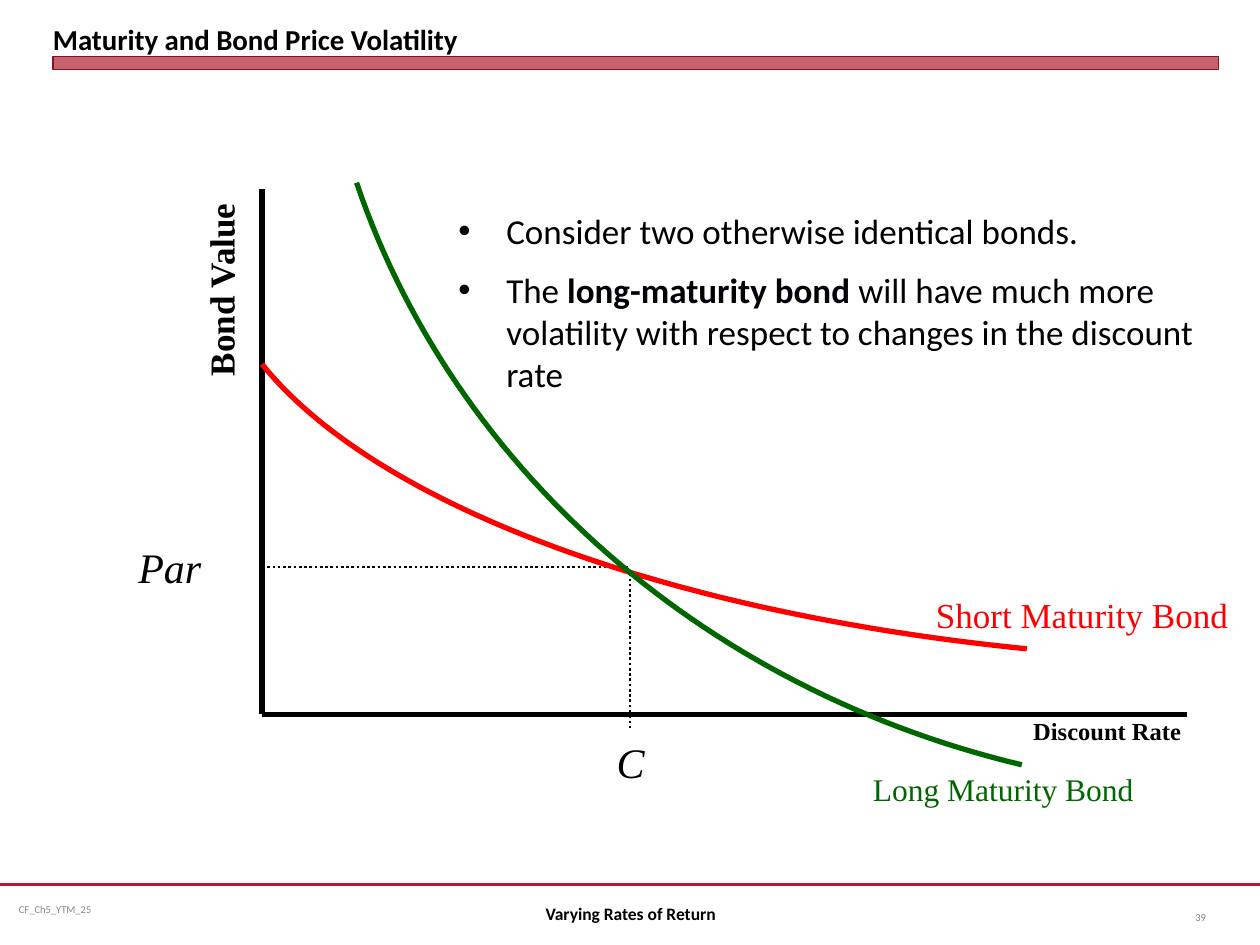
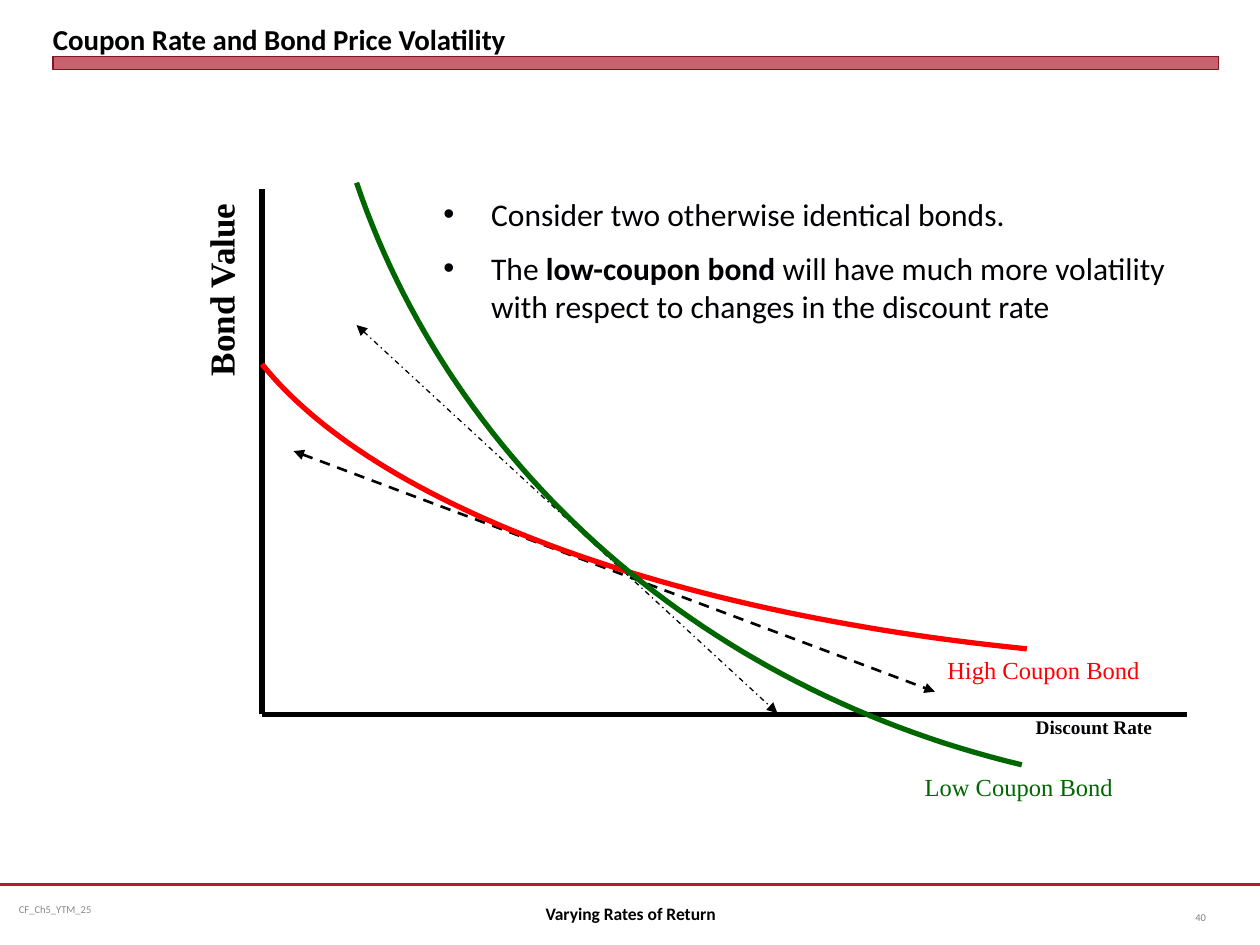
from pptx import Presentation
from pptx.dml.color import RGBColor
from pptx.enum.dml import MSO_LINE
from pptx.enum.shapes import MSO_CONNECTOR, MSO_SHAPE
from pptx.enum.text import MSO_ANCHOR, MSO_AUTO_SIZE, PP_ALIGN
from pptx.oxml.ns import qn
from pptx.util import Inches, Pt
from lxml.etree import SubElement

COLORS = {
    "black": "000000", "ink": "010004", "red": "FF0000", "green": "006600",
    "band": "B01C2E", "band_edge": "821522", "code": "898989", "number": "808080",
}
SANS, SERIF = "Calibri", "Times New Roman"

COURSE_CODE = "CF_Ch5_YTM_25"
FOOTER = "Varying Rates of Return"
ORIGIN, AXIS_TOP, AXIS_RIGHT = (2.08, 5.67), 1.5, 9.42
# Bezier control points, in inches
FLAT_CURVE = [(2.08, 2.89), (2.97, 4), (5.26, 4.86), (8.15, 5.15)]
STEEP_CURVE = [(2.83, 1.45), (3.6, 3.72), (5.59, 5.47), (8.11, 6.07)]


def bullets(bond):
    return [
        ["Consider two otherwise identical bonds."],
        ["The ", (bond + " ",), "will have much more volatility "
         "with respect to changes in the discount rate"],
    ]


# A label is text, box and format; a guide is start, end and format.
SLIDES = [
    {
        "title": "Maturity and Bond Price Volatility",
        "number": 39,
        "bullets": (bullets("long-maturity bond"), (3.54, 1.61, 6.33, 1.62), 20),
        "rate_label": ((8.2, 5.68, 1.18, 0.24), 14),
        "labels": [
            ("C", (4.67, 5.8, 0.67, 0.5),
             {"size": 24, "italic": True, "align": PP_ALIGN.CENTER}),
            ("Par", (1, 4.25, 1, 0.5), {"size": 24, "italic": True}),
            ("Short Maturity Bond", (7.33, 4.66, 2.83, 0.43),
             {"size": 20, "color": "red"}),
            ("Long Maturity Bond", (6.83, 6.06, 2.73, 0.4),
             {"size": 18, "color": "green"}),
        ],
        "guides": [
            ((5, 4.55), (5, 5.8), {"width": 1.5, "dash": MSO_LINE.ROUND_DOT}),
            ((2.08, 4.5), (5, 4.5), {"width": 1.5, "dash": MSO_LINE.ROUND_DOT}),
        ],
    },
    {
        "title": "Coupon Rate and Bond Price Volatility",
        "number": 40,
        "bullets": (bullets("low-coupon bond"), (3.42, 1.5, 6.33, 1.16), 18),
        "rate_label": ((8.22, 5.68, 0.93, 0.19), 11),
        "labels": [
            ("High Coupon Bond", (7.42, 5.15, 2.83, 0.34),
             {"size": 14, "color": "red"}),
            ("Low Coupon Bond", (7.24, 6.08, 2.46, 0.34),
             {"size": 14, "color": "green"}),
        ],
        "guides": [
            ((2.83, 2.58), (6.17, 5.66),
             {"width": 0.75, "dash": MSO_LINE.DASH_DOT, "arrows": True}),
            ((2.33, 3.58), (7.42, 5.49),
             {"width": 1.5, "dash": MSO_LINE.DASH, "arrows": True}),
        ],
    },
]


def rgb(name):
    return RGBColor.from_string(COLORS[name])


def place(shape, box):
    shape.left, shape.top, shape.width, shape.height = map(Inches, box)


def write(frame, paragraphs, *, size, font=SERIF, color="black", bold=False,
          italic=False, align=PP_ALIGN.LEFT, anchor=MSO_ANCHOR.TOP,
          margins=(0.1, 0.05), wrap=True, bullet=None):
    """Fill a frame; each paragraph is a list of runs, a one-item tuple being bold."""
    if isinstance(paragraphs, str):
        paragraphs = [[paragraphs]]
    frame.word_wrap = wrap
    frame.auto_size = MSO_AUTO_SIZE.NONE
    frame.vertical_anchor = anchor
    frame.margin_left = frame.margin_right = Inches(margins[0])
    frame.margin_top = frame.margin_bottom = Inches(margins[1])
    for index, runs in enumerate(paragraphs):
        paragraph = frame.add_paragraph() if index else frame.paragraphs[0]
        paragraph.alignment = align
        paragraph.space_before = Pt(size / 2 if index else 0)
        if bullet:
            properties = paragraph._p.get_or_add_pPr()
            properties.set("marL", str(Inches(0.38)))
            properties.set("indent", str(Inches(-0.38)))
            SubElement(properties, qn("a:buFont")).set("typeface", "Arial")
            SubElement(properties, qn("a:buChar")).set("char", bullet)
        for part in runs:
            strong = isinstance(part, tuple)
            run = paragraph.add_run()
            run.text = part[0] if strong else part
            run.font.name, run.font.size = font, Pt(size)
            run.font.bold, run.font.italic = bold or strong, italic
            run.font.color.rgb = rgb(color)


def add_text(slide, text, box, rotation=0, **text_format):
    shape = slide.shapes.add_textbox(*map(Inches, box))
    shape.rotation = rotation
    write(shape.text_frame, text, **text_format)


def add_line(slide, start, end, width, color="black", dash=None, arrows=False):
    connector = slide.shapes.add_connector(
        MSO_CONNECTOR.STRAIGHT, *map(Inches, (*start, *end)))
    connector.line.width = Pt(width)
    connector.line.color.rgb = rgb(color)
    if dash:
        connector.line.dash_style = dash
    if arrows:
        for tag in ("a:headEnd", "a:tailEnd"):
            SubElement(connector.line._get_or_add_ln(), qn(tag)).set("type", "triangle")
    SubElement(connector._element.spPr, qn("a:effectLst"))


def bezier_point(controls, t):
    weights = ((1 - t) ** 3, 3 * t * (1 - t) ** 2, 3 * t ** 2 * (1 - t), t ** 3)
    return tuple(Inches(sum(w * v for w, v in zip(weights, axis)))
                 for axis in zip(*controls))


def add_curve(slide, controls, color, steps=60):
    points = [bezier_point(controls, step / steps) for step in range(steps + 1)]
    builder = slide.shapes.build_freeform(*points[0])
    builder.add_line_segments(points[1:], close=False)
    curve = builder.convert_to_shape()
    curve.fill.background()
    curve.line.color.rgb = rgb(color)
    curve.line.width = Pt(3)
    curve.shadow.inherit = False


def add_frame(slide, title, number):
    """Add the title, band and footer that every slide carries."""
    add_line(slide, (0, 7.02), (10, 7.02), 1.25, "band")
    add_text(slide, COURSE_CODE, (0.08, 7.02, 2.58, 0.4), size=6, font=SANS,
             color="code", anchor=MSO_ANCHOR.MIDDLE, margins=(0.07, 0.04))
    band = slide.shapes.add_shape(
        MSO_SHAPE.RECTANGLE, *map(Inches, (0.42, 0.45, 9.25, 0.1)))
    band.shadow.inherit = False
    band.fill.solid()
    band.fill.fore_color.rgb = rgb("band")
    tint = band._element.spPr.find(qn("a:solidFill"))[0]
    SubElement(tint, qn("a:alpha")).set("val", "69000")
    band.line.color.rgb = rgb("band_edge")
    band.line.width = Pt(0)
    place(slide.shapes.title, (0.42, 0.05, 9.25, 0.4))
    write(slide.shapes.title.text_frame, title, size=16.5, font=SANS, bold=True,
          anchor=MSO_ANCHOR.BOTTOM, margins=(0, 0))
    add_text(slide, FOOTER, (3.42, 7.05, 3.17, 0.4), size=10, font=SANS, bold=True,
             align=PP_ALIGN.CENTER, anchor=MSO_ANCHOR.MIDDLE)
    add_text(slide, str(number), (9.17, 7.08, 0.5, 0.4), size=6, font=SANS,
             color="number", align=PP_ALIGN.RIGHT, anchor=MSO_ANCHOR.MIDDLE)


def add_graph(slide, content):
    axis_format = {"bold": True, "margins": (0, 0), "wrap": False}
    rate_box, rate_size = content["rate_label"]
    add_text(slide, "Discount Rate", rate_box, size=rate_size, color="ink",
             **axis_format)
    add_text(slide, "Bond Value", (1.05, 2.12, 1.4, 0.33), rotation=270, size=20,
             **axis_format)
    for end in ((AXIS_RIGHT, ORIGIN[1]), (ORIGIN[0], AXIS_TOP)):
        add_line(slide, ORIGIN, end, 3)
    for start, end, line_format in content["guides"]:
        add_line(slide, start, end, **line_format)
    add_curve(slide, FLAT_CURVE, "red")
    add_curve(slide, STEEP_CURVE, "green")
    for text, box, text_format in content["labels"]:
        add_text(slide, text, box, **text_format)


def main():
    presentation = Presentation()
    presentation.slide_width, presentation.slide_height = Inches(10), Inches(7.5)
    for content in SLIDES:
        slide = presentation.slides.add_slide(presentation.slide_layouts[5])
        add_frame(slide, content["title"], content["number"])
        text, box, size = content["bullets"]
        add_text(slide, text, box, size=size, font=SANS, color="ink", bullet="•")
        add_graph(slide, content)
    presentation.save("out.pptx")


if __name__ == "__main__":
    main()
